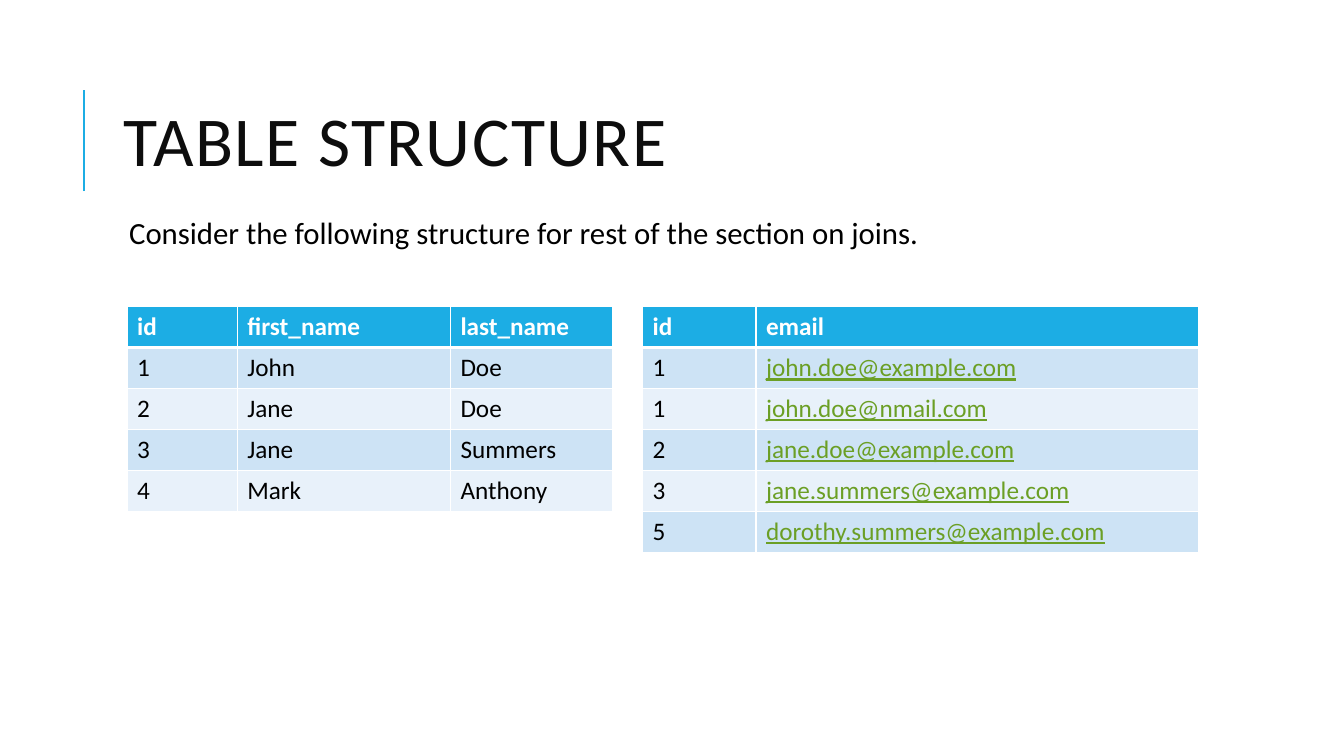
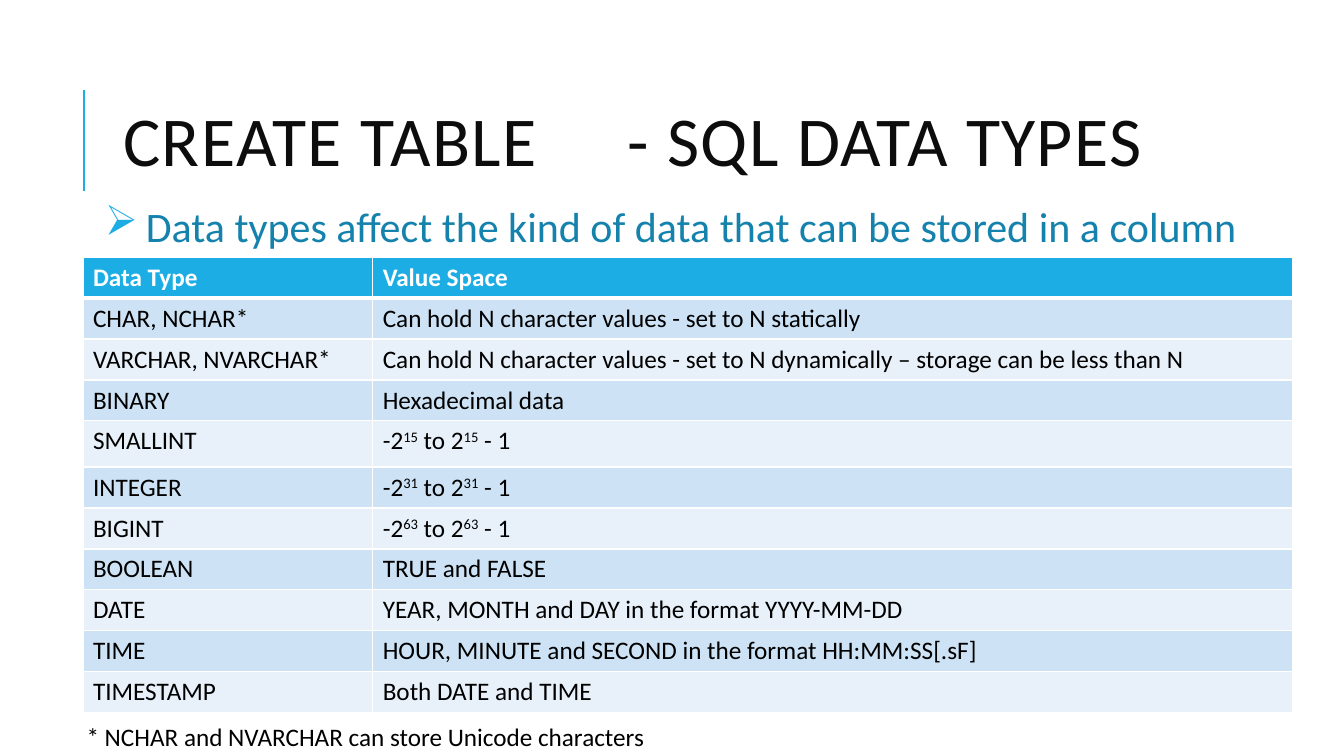
from lxml import etree
from pptx import Presentation
from pptx.dml.color import RGBColor
from pptx.enum import shapes, text
from pptx.oxml import ns
from pptx.util import Pt

PX = 9525  # EMU per px, 96 px to the inch
SLIDE_SIZE = (1280, 720)
FONT = "Calibri"
ROW_HEIGHT = 39

BLUE = RGBColor(0x1C, 0xAD, 0xE4)
DARK_BLUE = RGBColor(0x14, 0x82, 0xAC)
GREEN = RGBColor(0x6B, 0x9F, 0x25)
TITLE_BLACK = RGBColor(0x0D, 0x0D, 0x0D)
BLACK = RGBColor(0, 0, 0)
WHITE = RGBColor(0xFF, 0xFF, 0xFF)
BANDS = (RGBColor(0xE8, 0xF1, 0xFA), RGBColor(0xCD, 0xE3, 0xF5))


def px(*lengths):
    return [length * PX for length in lengths]


def add_element(parent, tag, **attributes):
    return etree.SubElement(parent, ns.qn(tag), attributes)


def style_font(font, size, color, bold=False):
    font.name, font.size, font.bold = FONT, Pt(size), bold
    font.color.rgb = color


def add_text(slide, box, content, size, color, inset=None):
    """Place a wrapping one-paragraph text box and return its frame."""
    frame = slide.shapes.add_textbox(*px(*box)).text_frame
    frame.word_wrap = True
    if inset is not None:
        frame.margin_left = frame.margin_right = inset * PX
        frame.margin_top = frame.margin_bottom = inset * PX
    frame.text = content
    style_font(frame.paragraphs[0].runs[0].font, size, color)
    return frame


def add_title(slide, content):
    # Accent line left of the title
    line = slide.shapes.add_connector(
        shapes.MSO_CONNECTOR.STRAIGHT, *px(80, 182, 80, 86))
    line.line.color.rgb = BLUE
    line.line.width = Pt(1.5)
    add_element(line._element.spPr, "a:effectLst")

    # Title text, with one tab stop
    frame = add_text(slide, (108, 61, 1020, 157), content, 50, TITLE_BLACK)
    frame.vertical_anchor = text.MSO_ANCHOR.MIDDLE
    paragraph = frame.paragraphs[0]
    paragraph.line_spacing = 0.8
    tabs = add_element(paragraph._p.get_or_add_pPr(), "a:tabLst")
    add_element(tabs, "a:tab", pos=str(480 * PX), algn="l")
    paragraph.runs[0]._r.get_or_add_rPr().set("spc", "100")


def add_body(slide, box, content, size, color, indent, bullet=None):
    frame = add_text(slide, box, content, size, color, inset=5)
    paragraph = frame.paragraphs[0]
    paragraph.line_spacing = 0.9
    properties = paragraph._p.get_or_add_pPr()
    properties.set("marL", str(indent * PX))
    if bullet:
        properties.set("indent", str(-indent * PX))
        bullet_color = add_element(properties, "a:buClr")
        add_element(bullet_color, "a:srgbClr", val=str(BLUE))
        add_element(properties, "a:buChar", char=bullet)


def add_borders(cell, row_index):
    thick_side = {0: "a:lnB", 1: "a:lnT"}.get(row_index)
    properties = cell._tc.get_or_add_tcPr()
    for side in ("a:lnL", "a:lnR", "a:lnT", "a:lnB"):
        width = Pt(3 if side == thick_side else 1)
        border = add_element(properties, side, w=str(width))
        fill = add_element(border, "a:solidFill")
        add_element(fill, "a:srgbClr", val=str(WHITE))


def fill_cell(cell, content, row_index):
    """Content is a string, or a list whose odd items are superscripts."""
    header = row_index == 0
    add_borders(cell, row_index)
    cell.fill.solid()
    cell.fill.fore_color.rgb = BLUE if header else BANDS[row_index % 2]
    paragraph = cell.text_frame.paragraphs[0]
    pieces = [content] if isinstance(content, str) else content
    for index, piece in enumerate(pieces):
        run = paragraph.add_run()
        run.text = piece
        style_font(run.font, 18, WHITE if header else BLACK, bold=header)
        if "@" in piece:
            run.font.color.rgb = GREEN
            run.font.underline = True
        if index % 2:
            run._r.get_or_add_rPr().set("baseline", "30000")


def add_data_table(slide, left, top, column_widths, rows, tall_rows=None):
    heights = [(tall_rows or {}).get(i, ROW_HEIGHT) for i in range(len(rows))]
    table = slide.shapes.add_table(
        len(rows), len(column_widths),
        *px(left, top, sum(column_widths), sum(heights))).table
    for column, width in zip(table.columns, column_widths):
        column.width = width * PX
    for row_index, (row, height) in enumerate(zip(rows, heights)):
        table.rows[row_index].height = height * PX
        for column_index, content in enumerate(row):
            fill_cell(table.cell(row_index, column_index), content, row_index)


def integer_range(power):
    return ["-2", power, " to 2", power, " - 1"]


PEOPLE = [
    ("id", "first_name", "last_name"),
    ("1", "John", "Doe"),
    ("2", "Jane", "Doe"),
    ("3", "Jane", "Summers"),
    ("4", "Mark", "Anthony"),
]
EMAILS = [
    ("id", "email"),
    ("1", "john.doe@example.com"),
    ("1", "john.doe@nmail.com"),
    ("2", "jane.doe@example.com"),
    ("3", "jane.summers@example.com"),
    ("5", "dorothy.summers@example.com"),
]
DATA_TYPES = [
    ("Data Type", "Value Space"),
    ("CHAR, NCHAR*", "Can hold N character values - set to N statically"),
    ("VARCHAR, NVARCHAR*", "Can hold N character values - set to N dynamically"
                           " – storage can be less than N"),
    ("BINARY", "Hexadecimal data"),
    ("SMALLINT", integer_range("15")),
    ("INTEGER", integer_range("31")),
    ("BIGINT", integer_range("63")),
    ("BOOLEAN", "TRUE and FALSE"),
    ("DATE", "YEAR, MONTH and DAY in the format YYYY-MM-DD"),
    ("TIME", "HOUR, MINUTE and SECOND in the format HH:MM:SS[.sF]"),
    ("TIMESTAMP", "Both DATE and TIME"),
]


def build_structure_slide(slide):
    add_title(slide, "TABLE STRUCTURE")
    add_body(slide, (108, 203, 1020, 422),
             "Consider the following structure for rest of the section on joins.",
             22, BLACK, indent=10)
    add_data_table(slide, 121, 292, (105, 203, 154), PEOPLE)
    add_data_table(slide, 612, 292, (108, 422), EMAILS)


def build_data_types_slide(slide):
    add_title(slide, "CREATE TABLE\t- SQL DATA TYPES")
    add_body(slide, (95, 191, 1103, 457),
             "Data types affect the kind of data that can be stored in a column",
             30, DARK_BLUE, indent=39, bullet="➢")
    add_data_table(slide, 79, 245, (276, 876), DATA_TYPES, tall_rows={4: 44})
    # Footnote
    add_text(slide, (73, 682, 555, 38),
             "* NCHAR and NVARCHAR can store Unicode characters", 18, BLACK)


def main():
    presentation = Presentation()
    presentation.slide_width, presentation.slide_height = px(*SLIDE_SIZE)
    blank_layout = presentation.slide_layouts[6]
    for build in (build_structure_slide, build_data_types_slide):
        build(presentation.slides.add_slide(blank_layout))
    presentation.save("out.pptx")


if __name__ == "__main__":
    main()
